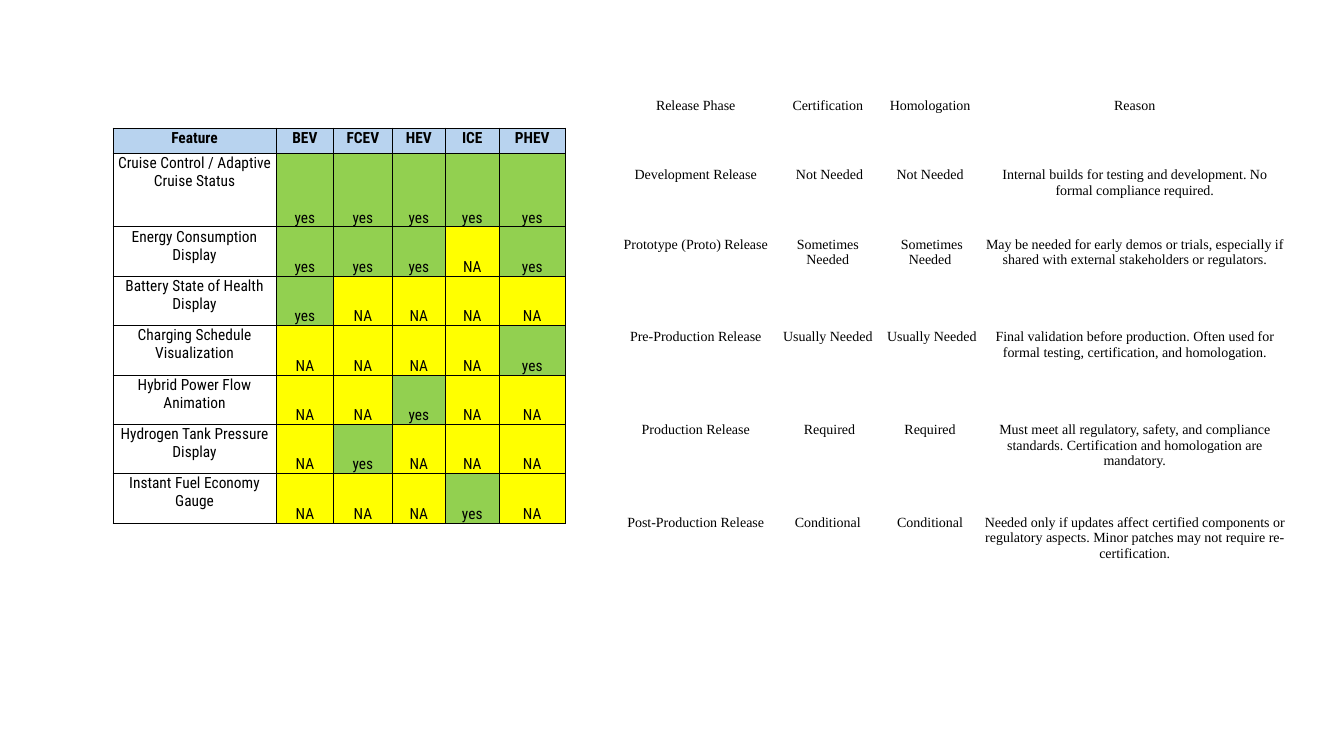
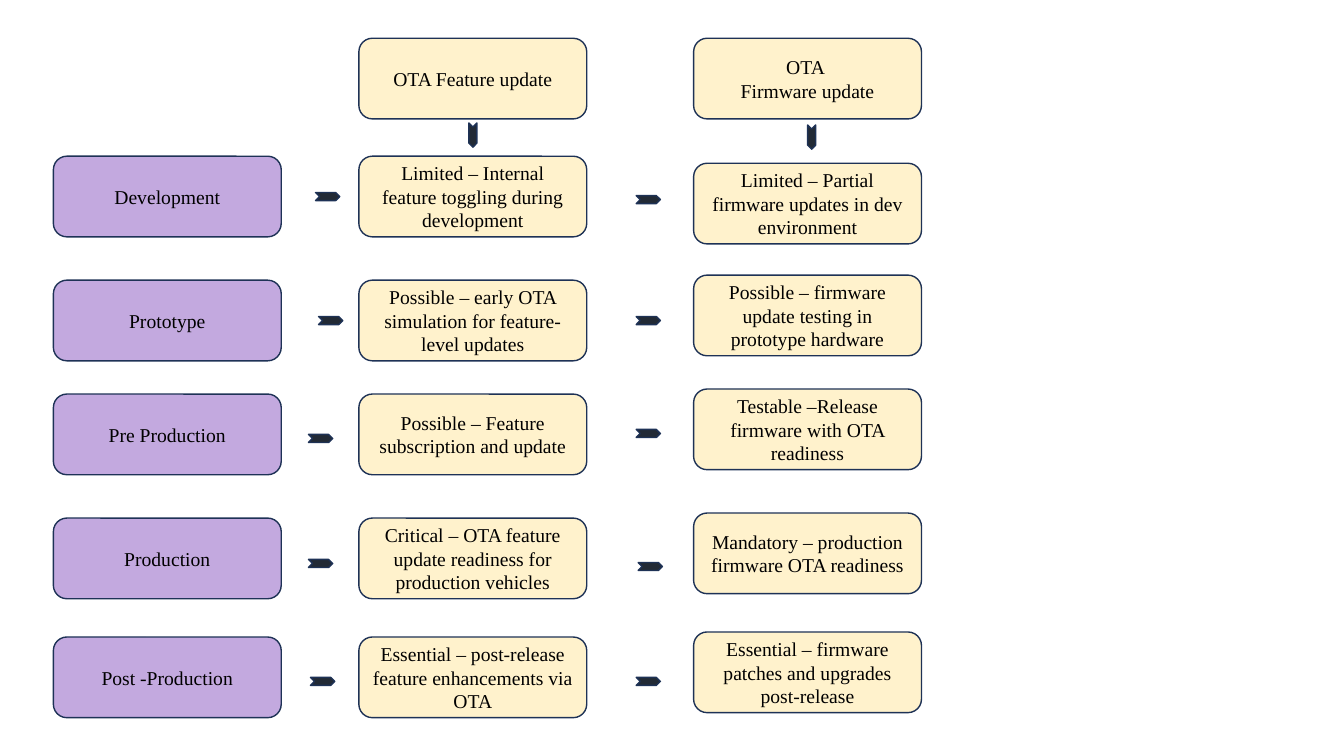
from dataclasses import dataclass

from lxml.etree import SubElement
from pptx import Presentation
from pptx.dml.color import RGBColor
from pptx.enum.shapes import MSO_SHAPE
from pptx.enum.text import MSO_ANCHOR, PP_ALIGN
from pptx.oxml.ns import qn
from pptx.slide import Slide
from pptx.text.text import TextFrame
from pptx.util import Inches, Pt

COLORS = {
    "black": "000000",
    "white": "FFFFFF",
    "head": "B8D3EF",
    "yes": "92D050",
    "NA": "FFFF00",
    "cream": "FFF2CC",
    "lilac": "C3A9DF",
    "edge": "1E3256",
    "mark": "222A35",
}
SERIF = "Times New Roman"
SANS = "Roboto Condensed"

BOX_W, BOX_H = 2.26, 0.8
MARK_W, MARK_H = 0.24, 0.08
PHASE_X, FEATURE_X, FIRM_X = 0.53, 3.56, 6.88
HEAD_Y = 0.38


@dataclass
class Grid:
    """Place and look of one table; pads are left, top, right, bottom."""
    left: float
    top: float
    cols: list[float]
    rows: list[float]
    pads: tuple[float, float, float, float]
    edge: str
    width: float
    font: str
    size: int


@dataclass
class Phase:
    """One row of the release chart; marks are the corners of its chevrons."""
    name: str
    top: float
    feature: str
    firm_top: float
    firmware: str
    marks: tuple[tuple[float, float], tuple[float, float]]


MATRIX = Grid(1.12, 1.27, [1.62, 0.57, 0.58, 0.53, 0.53, 0.66],
              [0.25, 0.73] + [0.49] * 6, (0.01, 0.01, 0.01, 0),
              "black", 0.5, SANS, 11)
TYPES = ["BEV", "FCEV", "HEV", "ICE", "PHEV"]
FEATURES = {
    "Cruise Control / Adaptive Cruise Status": TYPES,
    "Energy Consumption Display": ["BEV", "FCEV", "HEV", "PHEV"],
    "Battery State of Health Display": ["BEV"],
    "Charging Schedule Visualization": ["PHEV"],
    "Hybrid Power Flow Animation": ["HEV"],
    "Hydrogen Tank Pressure Display": ["FCEV"],
    "Instant Fuel Economy Gauge": ["ICE"],
}

RULES = Grid(6.08, 0.97, [1.6, 1.02, 1.01, 3.05],
             [0.69, 0.69, 0.92, 0.92, 0.92, 0.82], (0.04, 0, 0, 0),
             "white", 1, SERIF, 10)
RELEASES = [
    ["Release Phase", "Certification", "Homologation", "Reason"],
    ["Development Release", " Not Needed", "Not Needed",
     "Internal builds for testing and development. "
     "No formal compliance required."],
    ["Prototype (Proto) Release", "Sometimes Needed", " Sometimes Needed",
     "May be needed for early demos or trials, especially if shared with "
     "external stakeholders or regulators."],
    ["Pre-Production Release", "Usually Needed", " Usually Needed",
     "Final validation before production. Often used for formal testing, "
     "certification, and homologation."],
    ["Production Release", " Required", "Required",
     "Must meet all regulatory, safety, and compliance standards. "
     "Certification and homologation are mandatory."],
    ["Post-Production Release", "Conditional", "Conditional",
     "Needed only if updates affect certified components or regulatory "
     "aspects. Minor patches may not require re-certification."],
]

PHASES = [
    Phase("Development", 1.55,
          "Limited – Internal feature toggling during development",
          1.62, "Limited – Partial firmware updates in dev environment",
          ((3.13, 1.91), (6.31, 1.94))),
    Phase("Prototype", 2.78,
          "Possible – early OTA simulation for feature-level updates",
          2.73, "Possible – firmware update testing in prototype hardware",
          ((3.16, 3.14), (6.31, 3.14))),
    Phase("Pre Production", 3.91,
          "Possible – Feature subscription and update",
          3.86, "Testable –Release firmware with OTA readiness",
          ((3.06, 4.31), (6.31, 4.26))),
    Phase("Production", 5.14,
          "Critical – OTA feature update readiness for production vehicles",
          5.09, "Mandatory – production firmware OTA readiness",
          ((3.06, 5.55), (6.33, 5.58))),
    Phase("Post -Production", 6.32,
          "Essential – post-release feature enhancements via OTA",
          6.27, "Essential – firmware patches and upgrades post-release",
          ((3.08, 6.72), (6.31, 6.72))),
]


def tint(name: str) -> RGBColor:
    return RGBColor.from_string(COLORS[name])


def put_text(frame: TextFrame, text: str, *, font: str = SERIF,
             size: float = 14, bold: bool = False) -> None:
    """Write one centred paragraph for each line of the text."""
    frame.word_wrap = True
    for num, line in enumerate(text.split("\n")):
        para = frame.add_paragraph() if num else frame.paragraphs[0]
        para.alignment = PP_ALIGN.CENTER
        run = para.add_run()
        run.text = line
        run.font.name = font
        run.font.size = Pt(size)
        run.font.bold = bold
        run.font.color.rgb = tint("black")


def add_edges(cell, color: str, width: float) -> None:
    """Put borders ahead of the fill, as the schema asks."""
    props = cell._tc.get_or_add_tcPr()
    for num, side in enumerate(("lnL", "lnR", "lnT", "lnB")):
        line = SubElement(props, qn(f"a:{side}"), w=str(Pt(width)))
        fill = SubElement(line, qn("a:solidFill"))
        SubElement(fill, qn("a:srgbClr"), val=COLORS[color])
        props.insert(num, line)


def add_grid(slide: Slide, grid: Grid, texts: list[list[str]],
             fills: dict[str, str], bold_head: bool = False) -> None:
    """Draw a table; fills maps a cell's text to its colour name."""
    frame = slide.shapes.add_table(
        len(grid.rows), len(grid.cols), Inches(grid.left), Inches(grid.top),
        Inches(sum(grid.cols)), Inches(sum(grid.rows)))
    table = frame.table
    table.first_row = table.horz_banding = False
    for col, width in zip(table.columns, grid.cols):
        col.width = Inches(width)
    for row, height in zip(table.rows, grid.rows):
        row.height = Inches(height)
    for y, line in enumerate(texts):
        for x, text in enumerate(line):
            cell = table.cell(y, x)
            (cell.margin_left, cell.margin_top, cell.margin_right,
             cell.margin_bottom) = map(Inches, grid.pads)
            low = text in ("yes", "NA")
            cell.vertical_anchor = MSO_ANCHOR.BOTTOM if low else MSO_ANCHOR.TOP
            put_text(cell.text_frame, text, font=grid.font, size=grid.size,
                     bold=bold_head and y == 0)
            if text in fills:
                cell.fill.solid()
                cell.fill.fore_color.rgb = tint(fills[text])
            else:
                cell.fill.background()
            add_edges(cell, grid.edge, grid.width)


def add_form(slide: Slide, kind: MSO_SHAPE, left: float, top: float,
             width: float, height: float, fill: str):
    form = slide.shapes.add_shape(kind, Inches(left), Inches(top),
                                  Inches(width), Inches(height))
    form.shadow.inherit = False
    form.fill.solid()
    form.fill.fore_color.rgb = tint(fill)
    form.line.color.rgb = tint("edge")
    form.line.width = Pt(1)
    return form


def add_box(slide: Slide, left: float, top: float, text: str,
            fill: str = "cream") -> None:
    box = add_form(slide, MSO_SHAPE.ROUNDED_RECTANGLE, left, top,
                   BOX_W, BOX_H, fill)
    box.text_frame.vertical_anchor = MSO_ANCHOR.MIDDLE
    put_text(box.text_frame, text)


def add_mark(slide: Slide, left: float, top: float, turn: float = 0) -> None:
    mark = add_form(slide, MSO_SHAPE.CHEVRON, left, top,
                    MARK_W, MARK_H, "mark")
    mark.rotation = turn


def draw_tables(slide: Slide) -> None:
    head = ["Feature", *TYPES]
    body = [[name, *("yes" if kind in have else "NA" for kind in TYPES)]
            for name, have in FEATURES.items()]
    fills = {"yes": "yes", "NA": "NA"} | dict.fromkeys(head, "head")
    add_grid(slide, MATRIX, [head, *body], fills, bold_head=True)
    add_grid(slide, RULES, RELEASES, {})


def draw_phases(slide: Slide) -> None:
    add_box(slide, FEATURE_X, HEAD_Y, "OTA Feature update")
    add_box(slide, FIRM_X, HEAD_Y, "OTA \nFirmware update")
    for phase in PHASES:
        add_box(slide, PHASE_X, phase.top, phase.name, "lilac")
        add_box(slide, FEATURE_X, phase.top, phase.feature)
        add_box(slide, FIRM_X, phase.firm_top, phase.firmware)
        for left, top in phase.marks:
            add_mark(slide, left, top)
    add_mark(slide, 4.57, 1.3, 90)
    add_mark(slide, 7.93, 1.32, 90)


def main() -> None:
    deck = Presentation()
    deck.slide_width, deck.slide_height = Inches(13.33), Inches(7.5)
    blank = deck.slide_layouts[6]
    for draw in (draw_tables, draw_phases):
        draw(deck.slides.add_slide(blank))
    deck.save("out.pptx")


if __name__ == "__main__":
    main()
